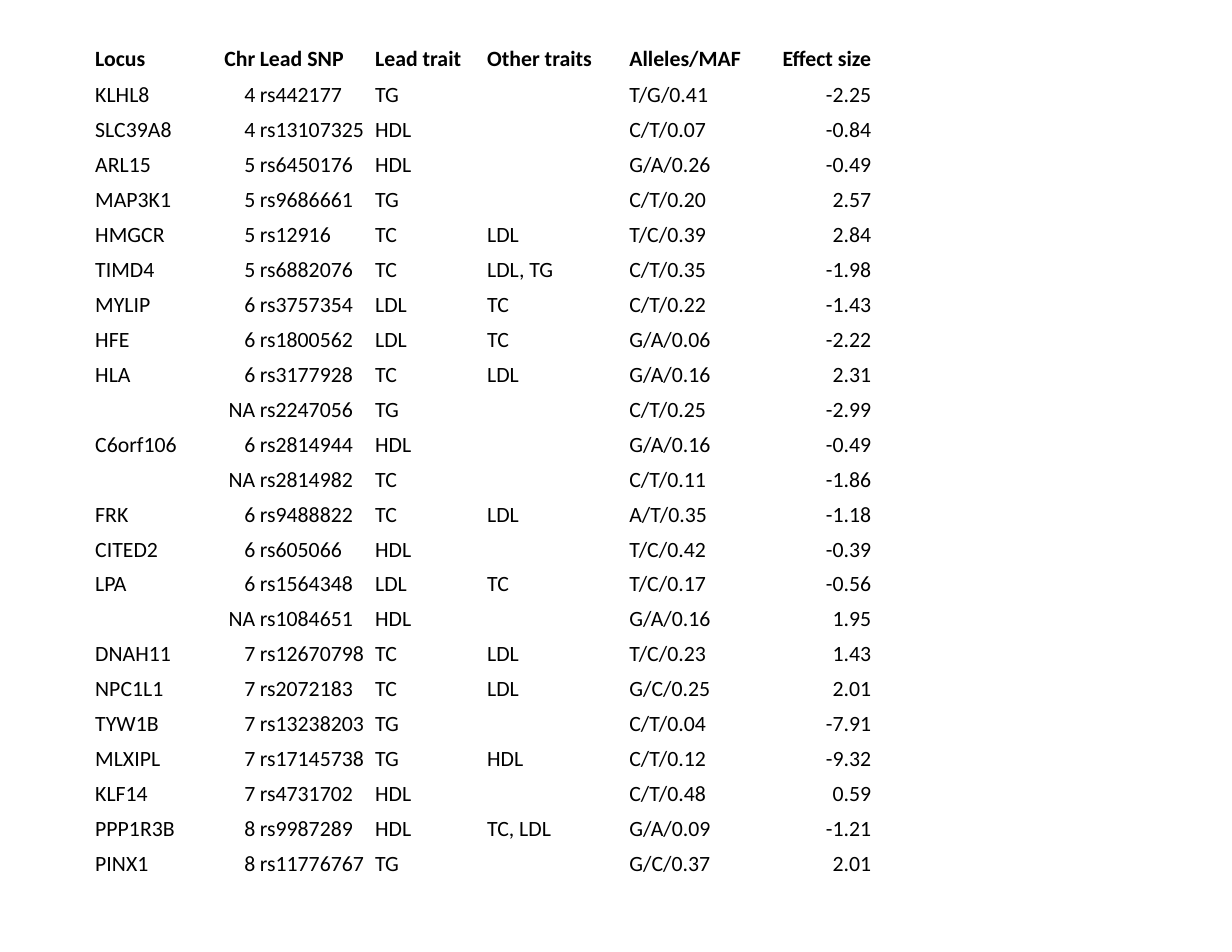
from pptx import Presentation
from pptx.dml.color import RGBColor
from pptx.enum.text import PP_ALIGN
from pptx.util import Inches, Pt

HEAD = ("Locus", "Chr", "Lead SNP", "Lead trait", "Other traits", "Alleles/MAF", "Effect size")
LOCI = [
    ("KLHL8", "4", "rs442177", "TG", "", "T/G/0.41", "-2.25"),
    ("SLC39A8", "4", "rs13107325", "HDL", "", "C/T/0.07", "-0.84"),
    ("ARL15", "5", "rs6450176", "HDL", "", "G/A/0.26", "-0.49"),
    ("MAP3K1", "5", "rs9686661", "TG", "", "C/T/0.20", "2.57"),
    ("HMGCR", "5", "rs12916", "TC", "LDL", "T/C/0.39", "2.84"),
    ("TIMD4", "5", "rs6882076", "TC", "LDL, TG", "C/T/0.35", "-1.98"),
    ("MYLIP", "6", "rs3757354", "LDL", "TC", "C/T/0.22", "-1.43"),
    ("HFE", "6", "rs1800562", "LDL", "TC", "G/A/0.06", "-2.22"),
    ("HLA", "6", "rs3177928", "TC", "LDL", "G/A/0.16", "2.31"),
    ("", "NA", "rs2247056", "TG", "", "C/T/0.25", "-2.99"),
    ("C6orf106", "6", "rs2814944", "HDL", "", "G/A/0.16", "-0.49"),
    ("", "NA", "rs2814982", "TC", "", "C/T/0.11", "-1.86"),
    ("FRK", "6", "rs9488822", "TC", "LDL", "A/T/0.35", "-1.18"),
    ("CITED2", "6", "rs605066", "HDL", "", "T/C/0.42", "-0.39"),
    ("LPA", "6", "rs1564348", "LDL", "TC", "T/C/0.17", "-0.56"),
    ("", "NA", "rs1084651", "HDL", "", "G/A/0.16", "1.95"),
    ("DNAH11", "7", "rs12670798", "TC", "LDL", "T/C/0.23", "1.43"),
    ("NPC1L1", "7", "rs2072183", "TC", "LDL", "G/C/0.25", "2.01"),
    ("TYW1B", "7", "rs13238203", "TG", "", "C/T/0.04", "-7.91"),
    ("MLXIPL", "7", "rs17145738", "TG", "HDL", "C/T/0.12", "-9.32"),
    ("KLF14", "7", "rs4731702", "HDL", "", "C/T/0.48", "0.59"),
    ("PPP1R3B", "8", "rs9987289", "HDL", "TC, LDL", "G/A/0.09", "-1.21"),
    ("PINX1", "8", "rs11776767", "TG", "", "G/C/0.37", "2.01"),
]
WIDTHS = (0.92, 0.53, 1.02, 1, 1.23, 1.25, 1)
INDENTS = (0.02, None, 0.04, 0.05, 0.05, 0.09, None)
COLORS = {"text": "000000"}
FONT = {"name": "Calibri", "size": Pt(14)}
PLAIN = {"first_row": False, "horz_banding": False}
INSETS = dict.fromkeys(("margin_left", "margin_right", "margin_top", "margin_bottom"), 0)


def apply(item, values):
    for name, value in values.items():
        setattr(item, name, value)


def write(cell, text, indent, head):
    apply(cell, INSETS)
    cell.fill.background()
    if not text:
        return
    para = cell.text_frame.paragraphs[0]
    para.space_before = Pt(2.2 if head else 1.4)
    if indent is None:
        para.alignment = PP_ALIGN.RIGHT
    else:
        props = para._p.get_or_add_pPr()
        props.set("marL", str(Inches(indent)))
        props.set("indent", "0")
    run = para.add_run()
    run.text = text
    apply(run.font, {**FONT, "bold": head})
    run.font.color.rgb = RGBColor.from_string(COLORS["text"])


deck = Presentation()
apply(deck, {"slide_width": Inches(11), "slide_height": Inches(8.5)})
slide = deck.slides.add_slide(deck.slide_layouts[6])
rows = [HEAD] + LOCI
table = slide.shapes.add_table(
    len(rows), len(HEAD), Inches(0.83), Inches(0.41), Inches(6.96), Inches(7.53)
).table
apply(table, PLAIN)
for col, width in zip(table.columns, WIDTHS):
    col.width = Inches(width)
for r, row in enumerate(rows):
    table.rows[r].height = Inches(0.32 if r in (0, len(LOCI)) else 5 / 16)
    for c, text in enumerate(row):
        write(table.cell(r, c), text, INDENTS[c], r == 0)
deck.save("out.pptx")
